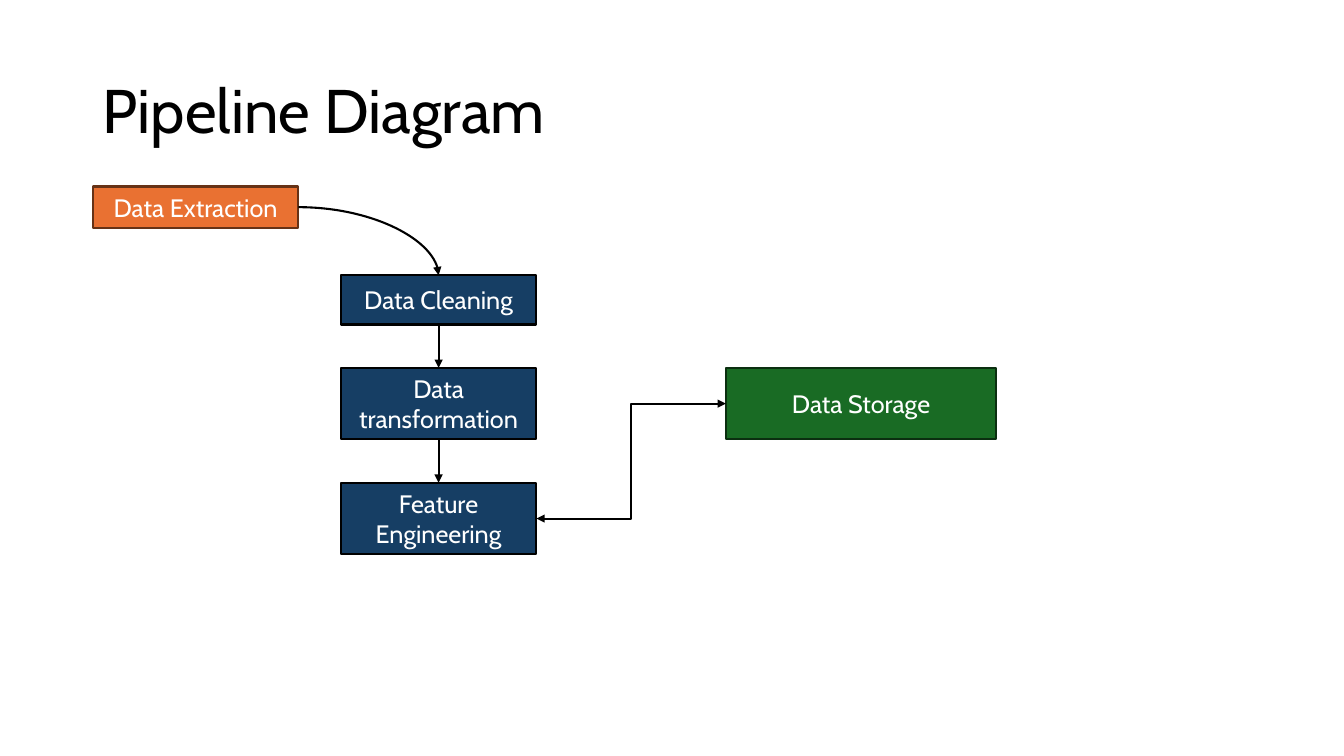
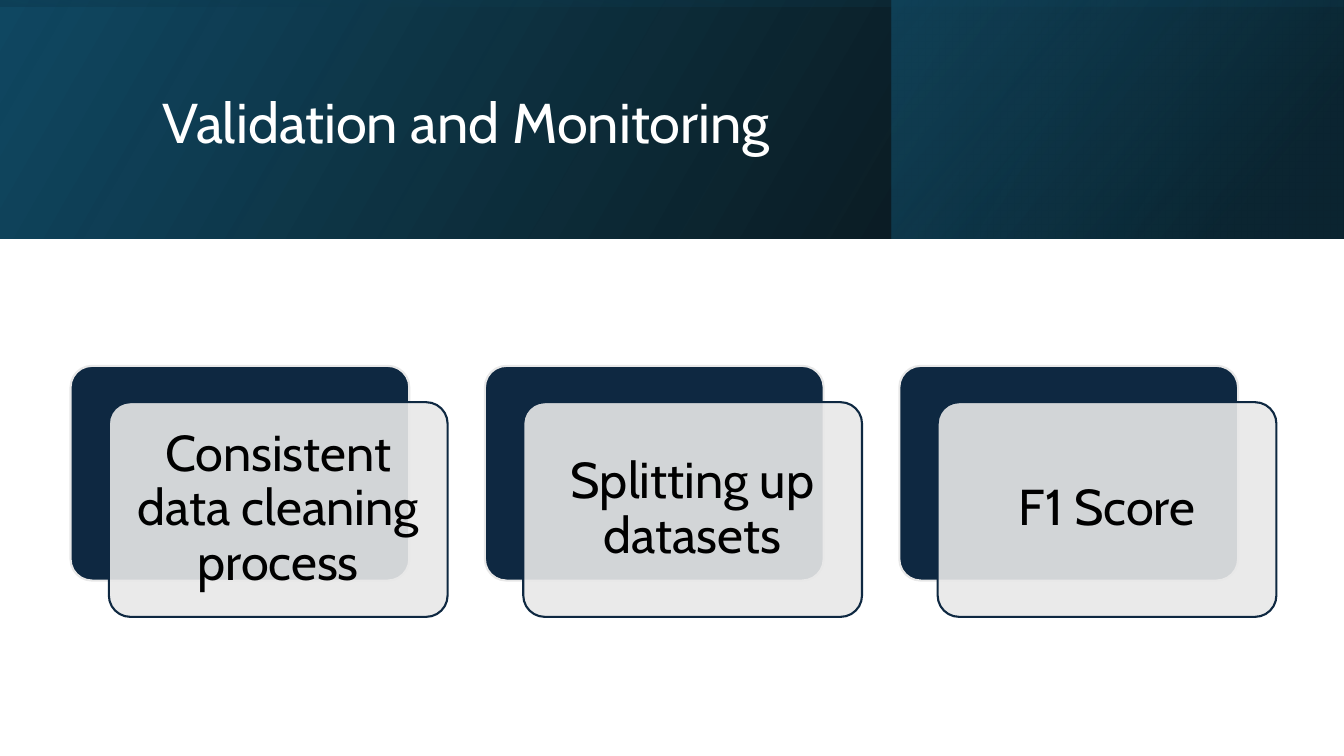
from lxml import etree
from pptx import Presentation
from pptx.dml.color import RGBColor
from pptx.enum.shapes import MSO_CONNECTOR, MSO_SHAPE
from pptx.enum.text import MSO_ANCHOR, PP_ALIGN
from pptx.oxml.ns import qn
from pptx.util import Pt

PX = 9144
FONT = "Cabin"
LINE_WIDTH = Pt(1.5)
TITLE_ONLY = 5
TOP, LEFT, BOTTOM, RIGHT = range(4)

RECTANGLE = MSO_SHAPE.RECTANGLE
ROUNDED = MSO_SHAPE.ROUNDED_RECTANGLE
STRAIGHT = MSO_CONNECTOR.STRAIGHT
ELBOW = MSO_CONNECTOR.ELBOW
CURVE = MSO_CONNECTOR.CURVE
MIDDLE = MSO_ANCHOR.MIDDLE
ALIGN_LEFT = PP_ALIGN.LEFT
CENTER = PP_ALIGN.CENTER

BLACK = RGBColor(0x00, 0x00, 0x00)
WHITE = RGBColor(0xFF, 0xFF, 0xFF)
ORANGE = RGBColor(0xE9, 0x71, 0x32)
BROWN = RGBColor(0x66, 0x32, 0x16)
BLUE = RGBColor(0x16, 0x3E, 0x64)
GREEN = RGBColor(0x19, 0x6B, 0x24)
DARK_GREEN = RGBColor(0x0B, 0x2F, 0x10)
NAVY = RGBColor(0x0E, 0x28, 0x41)
GREY = RGBColor(0xE8, 0xE8, 0xE8)
TEAL = RGBColor(0x10, 0x48, 0x62)
DARK_TEAL = RGBColor(0x0B, 0x30, 0x41)
BRIGHT_TEAL = RGBColor(0x15, 0x60, 0x82)

PIPELINE = {
    "title": ("Pipeline Diagram", (92, 40, 1150, 145), 44, BLACK),
    "boxes": [
        ("Data Extraction", (92, 185, 204, 41), ORANGE, BROWN),
        ("Data Cleaning", (338, 273, 194, 49), BLUE, BLACK),
        ("Data transformation", (338, 365, 194, 71), BLUE, BLACK),
        ("Feature Engineering", (338, 479, 194, 71), BLUE, BLACK),
        ("Data Storage", (720, 365, 268, 71), GREEN, DARK_GREEN),
    ],
    "links": [
        (CURVE, "Data Extraction", RIGHT, "Data Cleaning", TOP, ["tailEnd"]),
        (STRAIGHT, "Data Cleaning", BOTTOM, "Data transformation", TOP, ["tailEnd"]),
        (STRAIGHT, "Data transformation", BOTTOM, "Feature Engineering", TOP, ["tailEnd"]),
        (ELBOW, "Feature Engineering", RIGHT, "Data Storage", LEFT, ["headEnd", "tailEnd"]),
    ],
}

VALIDATION = {
    "title": ("Validation and Monitoring", (151, 38, 1063, 172), 40, WHITE),
    "bands": [
        ((0, 0, 1333, 237), 0, 330, [(0, BLACK, 96), (100, TEAL, 100)]),
        ((884, 0, 448, 237), 0, 320, [(19, DARK_TEAL, 68), (100, BRIGHT_TEAL, 48)]),
        ((548, -548, 237, 1333), 270, 350, [(23, TEAL, 16), (99, BLACK, 45)]),
    ],
    "cards": ["Consistent data cleaning process", "Splitting up datasets", "F1 Score"],
}
CARD_LEFT, CARD_TOP, CARD_WIDTH, CARD_HEIGHT = 70, 363, 336, 213
CARD_STEP = 411
CARD_SHIFT_X, CARD_SHIFT_Y = 38, 36
CARD_MARGIN = 15


def scaled(place):
    return [length * PX for length in place]


def write(shape, text, size, color, align, spacing=1.0):
    frame = shape.text_frame
    frame.word_wrap = True
    frame.vertical_anchor = MIDDLE
    para = frame.paragraphs[0]
    para.text = text
    para.alignment = align
    para.line_spacing = spacing
    para.font.name = FONT
    para.font.size = Pt(size)
    para.font.color.rgb = color


def add_page(deck, title):
    text, place, size, color = title
    page = deck.slides.add_slide(deck.slide_layouts[TITLE_ONLY])
    heading = page.shapes.title
    heading.left, heading.top, heading.width, heading.height = scaled(place)
    write(heading, text, size, color, ALIGN_LEFT, 0.9)
    return page


def add_box(page, kind, place, fill, line):
    box = page.shapes.add_shape(kind, *scaled(place))
    box.shadow.inherit = False
    box.fill.solid()
    box.fill.fore_color.rgb = fill
    box.line.color.rgb = line
    box.line.width = LINE_WIDTH
    return box


def set_alpha(color, percent):
    etree.SubElement(color, qn("a:alpha"), val=str(percent * 1000))


def add_link(page, kind, source, source_side, target, target_side, arrows):
    link = page.shapes.add_connector(kind, 0, 0, 0, 0)
    link.begin_connect(source, source_side)
    link.end_connect(target, target_side)
    link.line.color.rgb = BLACK
    link.line.width = LINE_WIDTH
    properties = link._element.spPr
    if kind == CURVE:
        properties.find(qn("a:prstGeom")).set("prst", "curvedConnector2")
    outline = properties.find(qn("a:ln"))
    for arrow in arrows:
        etree.SubElement(outline, qn("a:" + arrow), type="triangle")
    etree.SubElement(properties, qn("a:effectLst"))


def add_band(page, place, rotation, angle, stops):
    band = page.shapes.add_shape(RECTANGLE, *scaled(place))
    band.shadow.inherit = False
    band.rotation = rotation
    band.line.fill.background()
    band.fill.gradient()
    properties = band._element.spPr
    properties.find(qn("a:xfrm")).set("flipH", "1")
    gradient = properties.find(qn("a:gradFill"))
    gradient.find(qn("a:lin")).set("ang", str(angle * 60000))
    stop_list = gradient.find(qn("a:gsLst"))
    for old_stop in list(stop_list):
        stop_list.remove(old_stop)
    for position, color, opacity in stops:
        stop = etree.SubElement(stop_list, qn("a:gs"), pos=str(position * 1000))
        set_alpha(etree.SubElement(stop, qn("a:srgbClr"), val=str(color)), opacity)


def add_card(page, index, text):
    left = CARD_LEFT + index * CARD_STEP
    size = (CARD_WIDTH, CARD_HEIGHT)
    back = add_box(page, ROUNDED, (left, CARD_TOP, *size), NAVY, GREY)
    front_place = (left + CARD_SHIFT_X, CARD_TOP + CARD_SHIFT_Y, *size)
    front = add_box(page, ROUNDED, front_place, GREY, NAVY)
    for card in (back, front):
        card.adjustments[0] = 0.1
    fill = front._element.spPr.find(qn("a:solidFill"))
    set_alpha(fill.find(qn("a:srgbClr")), 90)
    frame = front.text_frame
    frame.margin_left = frame.margin_right = CARD_MARGIN * PX
    frame.margin_top = frame.margin_bottom = CARD_MARGIN * PX
    write(front, text, 36, BLACK, CENTER, 0.9)


def build_pipeline(deck):
    page = add_page(deck, PIPELINE["title"])
    boxes = {}
    for text, place, fill, line in PIPELINE["boxes"]:
        boxes[text] = add_box(page, RECTANGLE, place, fill, line)
        write(boxes[text], text, 18, WHITE, CENTER)
    for kind, source, source_side, target, target_side, arrows in PIPELINE["links"]:
        add_link(page, kind, boxes[source], source_side, boxes[target], target_side, arrows)


def build_validation(deck):
    page = add_page(deck, VALIDATION["title"])
    for band in VALIDATION["bands"]:
        add_band(page, *band)
    page.shapes._spTree.append(page.shapes.title._element)
    for index, text in enumerate(VALIDATION["cards"]):
        add_card(page, index, text)


def main():
    deck = Presentation()
    deck.slide_width, deck.slide_height = scaled((1333, 750))
    build_pipeline(deck)
    build_validation(deck)
    deck.save("out.pptx")


if __name__ == "__main__":
    main()
